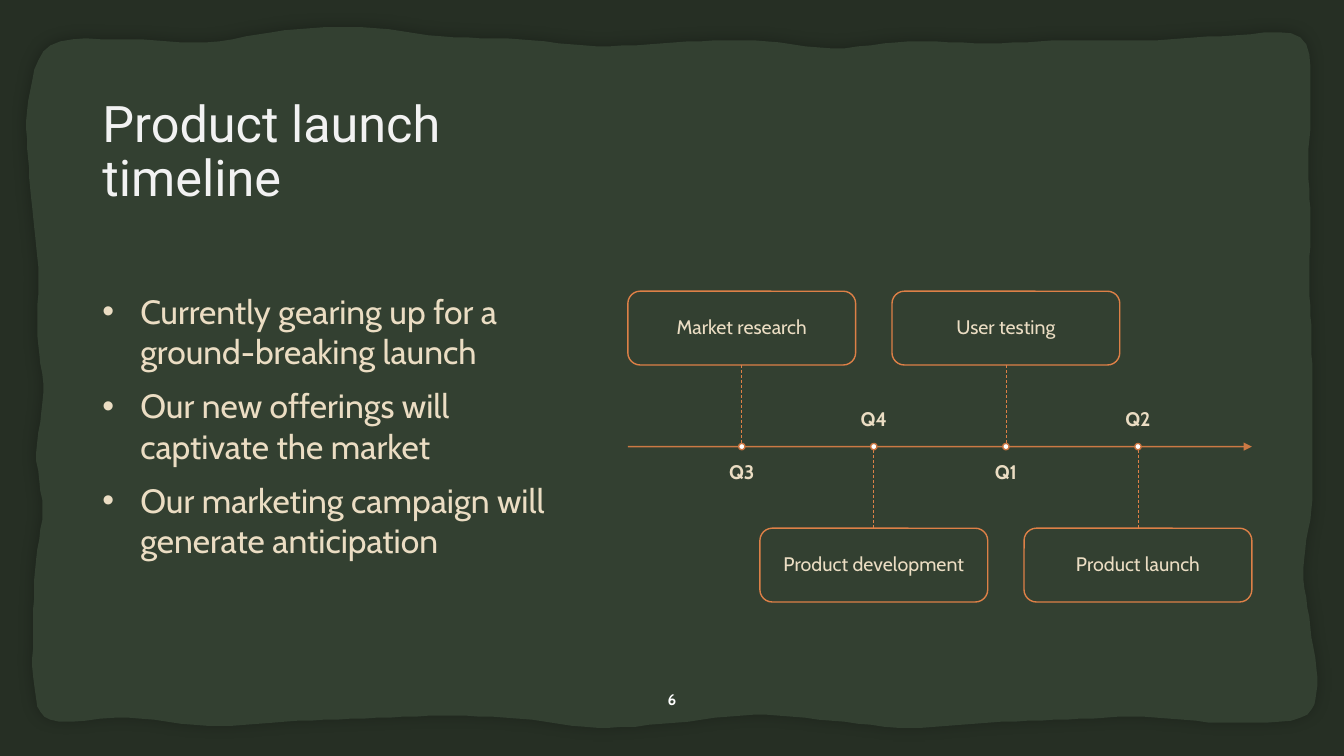
from pptx import Presentation
from pptx.dml.color import RGBColor
from pptx.enum.dml import MSO_LINE
from pptx.enum.shapes import MSO_CONNECTOR, MSO_SHAPE
from pptx.enum.text import MSO_ANCHOR, MSO_AUTO_SIZE, PP_ALIGN
from pptx.oxml.ns import qn
from pptx.util import Pt
from lxml import etree

RECTANGLE, CARD, DOT = MSO_SHAPE.RECTANGLE, MSO_SHAPE.ROUNDED_RECTANGLE, MSO_SHAPE.OVAL
STRAIGHT, DASH = MSO_CONNECTOR.STRAIGHT, MSO_LINE.DASH
TOP, MIDDLE, BOTTOM = MSO_ANCHOR.TOP, MSO_ANCHOR.MIDDLE, MSO_ANCHOR.BOTTOM
LEFT, CENTER, NO_FIT = PP_ALIGN.LEFT, PP_ALIGN.CENTER, MSO_AUTO_SIZE.NONE

BLACK = RGBColor(0x00, 0x00, 0x00)
WHITE = RGBColor(0xFF, 0xFF, 0xFF)
OFF_WHITE = RGBColor(0xF2, 0xF2, 0xF2)
GREEN = RGBColor(0x33, 0x40, 0x31)
CREAM = RGBColor(0xEB, 0xDD, 0xC3)
ORANGE = RGBColor(0xDD, 0x80, 0x47)
DARK_ORANGE = RGBColor(0xC9, 0x74, 0x40)
HEADING_FONT, BODY_FONT = "Roboto", "Cabin"

SLIDE_W, SLIDE_H = 960, 540
# Paper edge in hundredths of an inch, sampled at equal steps along each side
PAPER_UNIT = 0.72
PAPER_TOP = [45, 39, 42, 30, 27, 36, 39, 46, 42, 40, 48, 41, 43, 40, 40, 36, 37]
PAPER_RIGHT = [1300, 1298, 1300, 1299, 1301, 1302, 1302, 1301, 1293, 1300, 1307]
PAPER_BOTTOM = [714, 712, 720, 716, 713, 710, 713, 722, 717, 709, 715, 722, 717, 714, 711, 717, 712]
PAPER_LEFT = [28, 28, 33, 38, 37, 43, 36, 42, 35, 33, 34]


def paper_corners():
    """Return the edge samples clockwise from the top left."""
    across = [50 + 77.5 * i for i in range(len(PAPER_TOP))]
    down = [100 + 58 * i for i in range(len(PAPER_LEFT))]
    return [*zip(across, PAPER_TOP), *zip(PAPER_RIGHT, down),
            *reversed([*zip(across, PAPER_BOTTOM)]), *reversed([*zip(PAPER_LEFT, down)])]


def smooth_outline(corners, steps=6):
    """Return points on a closed Catmull-Rom curve through the corners."""
    curve = []
    for i, p1 in enumerate(corners):
        p0, p2, p3 = corners[i - 1], corners[(i + 1) % len(corners)], corners[(i + 2) % len(corners)]
        for t in (step / steps for step in range(steps)):
            curve.append(tuple(
                b + ((c - a) * t + (2 * a - 5 * b + 4 * c - d) * t**2
                     + (3 * b - a - 3 * c + d) * t**3) / 2
                for a, b, c, d in zip(p0, p1, p2, p3)))
    return curve


def set_alpha(element, percent):
    colour = next(element.iter(qn("a:srgbClr")))
    etree.SubElement(colour, qn("a:alpha"), val=str(percent * 1000))


def add_plain_shape(slide, kind, left, top, width, height, fill=None, line=None):
    shape = slide.shapes.add_shape(kind, Pt(left), Pt(top), Pt(width), Pt(height))
    shape.shadow.inherit = False
    if fill is None:
        shape.fill.background()
    else:
        shape.fill.solid()
        shape.fill.fore_color.rgb = fill
    if line is None:
        shape.line.fill.background()
    else:
        shape.line.color.rgb = line
        shape.line.width = Pt(1)
    return shape


def add_rule(slide, start, end, width):
    rule = slide.shapes.add_connector(STRAIGHT, *(Pt(v) for v in start + end))
    rule.line.color.rgb = ORANGE
    rule.line.width = Pt(width)
    etree.SubElement(rule.element.spPr, qn("a:effectLst"))
    return rule


def set_frame(shape, anchor, inset_x, inset_y):
    frame = shape.text_frame
    frame.word_wrap = True
    frame.auto_size = NO_FIT
    frame.vertical_anchor = anchor
    frame.margin_left = frame.margin_right = Pt(inset_x)
    frame.margin_top = frame.margin_bottom = Pt(inset_y)
    return frame


def add_run(paragraph, text, size, color, font=BODY_FONT, bold=False):
    run = paragraph.add_run()
    run.text = text
    run.font.name, run.font.size, run.font.bold = font, Pt(size), bold
    run.font.color.rgb = color


def write_centered(shape, text, size, color, anchor, inset_x=0, inset_y=0, bold=False):
    paragraph = set_frame(shape, anchor, inset_x, inset_y).paragraphs[0]
    paragraph.alignment = CENTER
    paragraph.line_spacing = 0.9
    add_run(paragraph, text, size, color, bold=bold)


def place(shape, left, top, width, height):
    shape.left, shape.top, shape.width, shape.height = Pt(left), Pt(top), Pt(width), Pt(height)


def build_backdrop(slide):
    """Put the dark border and the torn paper on the slide's layout."""
    slide.background.fill.solid()
    slide.background.fill.fore_color.rgb = GREEN
    border = add_plain_shape(slide, RECTANGLE, 0, 0, SLIDE_W, SLIDE_H, BLACK)
    set_alpha(border.element.spPr, 25)

    edge = smooth_outline(paper_corners())
    outline = slide.shapes.build_freeform(*edge[0], scale=Pt(PAPER_UNIT))
    outline.add_line_segments(edge[1:], close=True)
    paper = outline.convert_to_shape()
    paper.fill.solid()
    paper.fill.fore_color.rgb = GREEN
    paper.line.fill.background()
    paper.shadow.inherit = False
    effects = paper.element.spPr.find(qn("a:effectLst"))
    shadow = etree.SubElement(effects, qn("a:outerShdw"), blurRad=str(Pt(10)), dist="0", dir="0")
    etree.SubElement(shadow, qn("a:srgbClr"), val=str(BLACK))
    set_alpha(shadow, 26)

    layout_tree = slide.slide_layout.shapes.element
    for position, part in enumerate((border, paper), start=2):
        layout_tree.insert(position, part.element)


def build_title(slide, lines, *box):
    title = slide.shapes.title
    place(title, *box)
    paragraph = set_frame(title, TOP, 7.2, 3.6).paragraphs[0]
    paragraph.alignment = LEFT
    paragraph.line_spacing = 0.9
    for i, line in enumerate(lines):
        if i:
            paragraph.add_line_break()
        add_run(paragraph, line, 36, OFF_WHITE, HEADING_FONT)


def build_highlights(slide, highlights, *box):
    body = slide.placeholders[1]
    place(body, *box)
    frame = set_frame(body, TOP, 7.2, 3.6)
    for i, highlight in enumerate(highlights):
        paragraph = frame.add_paragraph() if i else frame.paragraphs[0]
        properties = paragraph._p.get_or_add_pPr()
        properties.set("marL", str(Pt(27)))
        properties.set("indent", str(-Pt(27)))
        etree.SubElement(properties, qn("a:buChar"), char="•")
        paragraph.alignment = LEFT
        paragraph.line_spacing = 1.0
        paragraph.space_before = Pt(10 if i else 0)
        add_run(paragraph, highlight, 24, CREAM)


def build_timeline(slide, milestones, left, top, width, height):
    """Alternate the milestone cards above and below a central arrow."""
    card_w, card_h, dot, label_w, label_h, label_gap = 162.7, 52.7, 4.5, 143, 34.6, 11.5
    axis_y = top + height / 2
    step = (width - card_w) / (len(milestones) - 1)
    axis = add_rule(slide, (left, axis_y), (left + width, axis_y), 1)
    set_alpha(axis.element.spPr, 90)
    axis_line = axis.element.spPr.find(qn("a:ln"))
    etree.SubElement(axis_line, qn("a:tailEnd"), type="triangle")

    for i, (quarter, milestone) in enumerate(milestones):
        above = i % 2 == 0
        card_left = left + i * step
        center_x = card_left + card_w / 2
        card_top = top if above else top + height - card_h
        card = add_plain_shape(slide, CARD, card_left, card_top, card_w, card_h, line=ORANGE)
        write_centered(card, milestone, 14, CREAM, MIDDLE, 10, 10)

        stem = add_rule(slide, (center_x, card_top), (center_x, axis_y), 0.5)
        stem.line.dash_style = DASH
        stem.begin_connect(card, 2 if above else 0)
        add_plain_shape(slide, DOT, center_x - dot / 2, axis_y - dot / 2, dot, dot,
                        WHITE, DARK_ORANGE)

        label_top = axis_y + label_gap if above else axis_y - label_gap - label_h
        label = slide.shapes.add_textbox(Pt(center_x - label_w / 2), Pt(label_top),
                                         Pt(label_w), Pt(label_h))
        write_centered(label, quarter, 14, CREAM, TOP if above else BOTTOM, bold=True)


def build_page_number(slide, number, *box):
    page_number = slide.shapes.add_textbox(*(Pt(v) for v in box))
    write_centered(page_number, number, 11, WHITE, MIDDLE, 7.2, 3.6, bold=True)


def main():
    deck = Presentation()
    deck.slide_width, deck.slide_height = Pt(SLIDE_W), Pt(SLIDE_H)
    slide = deck.slides.add_slide(deck.slide_layouts[1])
    build_backdrop(slide)
    build_title(slide, ["Product launch", "timeline"], 66, 67, 828, 109)
    build_highlights(slide, ["Currently gearing up for a ground-breaking launch",
                             "Our new offerings will captivate the market",
                             "Our marketing campaign will generate anticipation"], 66, 204, 333, 250)
    build_timeline(slide, [("Q3", "Market research"), ("Q4", "Product development"),
                           ("Q1", "User testing"), ("Q2", "Product launch")], 448.5, 208, 445.7, 222)
    build_page_number(slide, "6", 458.5, 486, 43, 29)
    deck.save("out.pptx")


if __name__ == "__main__":
    main()
